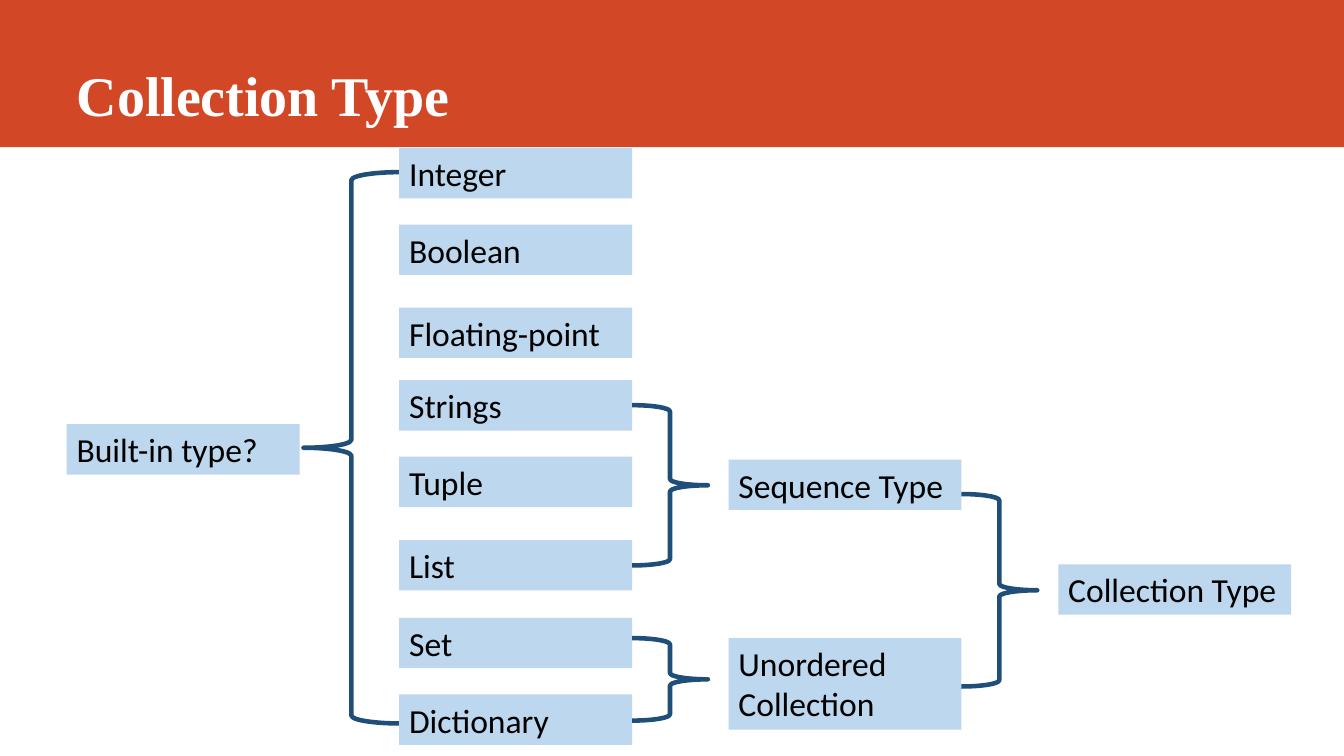
from pptx import Presentation
from pptx.dml.color import RGBColor
from pptx.enum.shapes import MSO_SHAPE
from pptx.enum.text import MSO_ANCHOR, PP_ALIGN
from pptx.util import Cm, Pt

COLORS = {"band": "D24726", "title": "FFFFFF", "box": "BDD7EE",
          "text": "000000", "brace": "1F4E79"}
BOX_W, BOX_H = 5.87, 1.27
BRACE_W = 1.91

# Top edge of each type in the column of built-in types
BUILT_IN_TYPES = {"Integer": 3.73, "Boolean": 5.66, "Floating-point": 7.75,
                  "Strings": 9.58, "Tuple": 11.51, "List": 13.61,
                  "Set": 15.57, "Dictionary": 17.5}


def color(name):
    return RGBColor.from_string(COLORS[name])


def add_filled(s, left, top, width, height, fill):
    sp = s.shapes.add_shape(MSO_SHAPE.RECTANGLE, Cm(left), Cm(top), Cm(width), Cm(height))
    sp.shadow.inherit = False
    sp.fill.solid()
    sp.fill.fore_color.rgb = color(fill)
    sp.line.fill.background()
    return sp


def add_label(s, text, left, top, height=BOX_H):
    tf = add_filled(s, left, top, BOX_W, height, "box").text_frame
    tf.word_wrap = True
    tf.vertical_anchor = MSO_ANCHOR.TOP
    p = tf.paragraphs[0]
    p.text = text
    p.alignment = PP_ALIGN.LEFT
    p.font.name = "Calibri"
    p.font.size = Pt(24)
    p.font.color.rgb = color("text")


def add_brace(s, kind, left, top, width, height):
    sp = s.shapes.add_shape(kind, Cm(left), Cm(top), Cm(width), Cm(height))
    sp.shadow.inherit = False
    sp.fill.background()
    sp.line.color.rgb = color("brace")
    sp.line.width = Pt(3.25)


def add_header(s, text, width, height):
    add_filled(s, 0, 0, width, height, "band")
    title = s.shapes.title
    s.shapes._spTree.append(title._element)  # bring the title in front of the band
    title.left, title.top = Cm(1.68), Cm(0)
    title.width, title.height = Cm(width - 4), Cm(height - 0.36)
    tf = title.text_frame
    tf.word_wrap = True
    tf.vertical_anchor = MSO_ANCHOR.BOTTOM
    p = tf.paragraphs[0]
    p.text = text
    p.alignment = PP_ALIGN.LEFT
    p.font.name = "Times New Roman"
    p.font.size = Pt(40)
    p.font.bold = True
    p.font.color.rgb = color("title")


def add_type_tree(s, left):
    types_x, groups_x, collection_x = left + 8.38, left + 16.68, left + 24.99

    # Root and its built-in types
    add_label(s, "Built-in type?", left, 10.69)
    add_brace(s, MSO_SHAPE.LEFT_BRACE, left + 5.97, 4.34, 2.41, 13.89)
    for text, top in BUILT_IN_TYPES.items():
        add_label(s, text, types_x, top)

    # Groups, joined into the collection type
    add_label(s, "Sequence Type", groups_x, 11.58)
    add_label(s, "Unordered Collection", groups_x, 16.08, 2.31)
    add_label(s, "Collection Type", collection_x, 14.22)
    for column_x, top, height in ((types_x, 10.21, 4.04), (types_x, 16.08, 2.08),
                                  (groups_x, 12.45, 4.85)):
        add_brace(s, MSO_SHAPE.RIGHT_BRACE, column_x + BOX_W, top, BRACE_W, height)


def main():
    prs = Presentation()
    prs.slide_width, prs.slide_height = Cm(33.87), Cm(19.05)
    s = prs.slides.add_slide(prs.slide_layouts[5])
    add_header(s, "Collection Type", 33.87, 3.71)
    add_type_tree(s, 1.68)
    prs.save("out.pptx")


if __name__ == "__main__":
    main()
